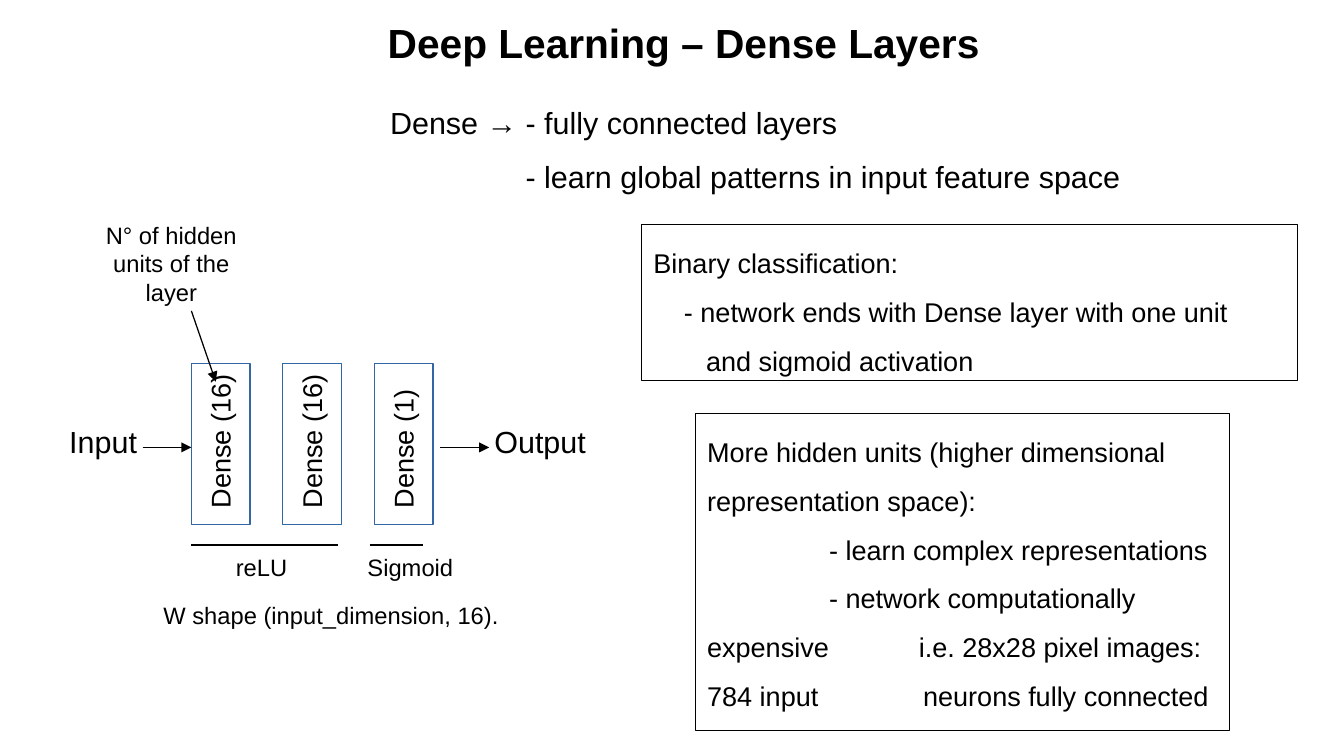
from lxml import etree
from pptx import Presentation
from pptx.dml.color import RGBColor
from pptx.enum.shapes import MSO_CONNECTOR, MSO_SHAPE
from pptx.enum.text import MSO_ANCHOR, PP_ALIGN
from pptx.oxml.ns import qn
from pptx.util import Pt

BLACK = RGBColor(0x00, 0x00, 0x00)
BLUE = RGBColor(0x34, 0x65, 0xA4)

prs = Presentation()
prs.slide_width, prs.slide_height = Pt(793.44), Pt(446.4)
slide = prs.slides.add_slide(prs.slide_layouts[6])


def add_text(left, top, width, height, lines, size, align=PP_ALIGN.LEFT,
             spacing=None, bold=None, outline=None):
    area = Pt(left), Pt(top), Pt(width), Pt(height)
    if outline is None:
        shape = slide.shapes.add_textbox(*area)
    else:
        shape = slide.shapes.add_shape(MSO_SHAPE.RECTANGLE, *area)
        shape.shadow.inherit = False
        shape.fill.background()
        shape.line.color.rgb = outline
        shape.line.width = Pt(0.75)
    frame = shape.text_frame
    frame.word_wrap = True
    frame.vertical_anchor = MSO_ANCHOR.TOP
    for i, (line, margin, indent, tab) in enumerate(lines):
        paragraph = frame.paragraphs[0] if i == 0 else frame.add_paragraph()
        paragraph.text = line
        paragraph.alignment = align
        paragraph.line_spacing = spacing
        properties = paragraph._p.get_or_add_pPr()
        if margin:
            properties.set("marL", str(Pt(margin)))
        if indent:
            properties.set("indent", str(Pt(indent)))
        if tab:
            stops = etree.SubElement(properties, qn("a:tabLst"))
            etree.SubElement(stops, qn("a:tab"), pos=str(Pt(tab)), algn="l")
        paragraph.font.name = "Arial"
        paragraph.font.size = Pt(size)
        paragraph.font.bold = bold
        paragraph.font.color.rgb = BLACK
    return shape


def add_line(x1, y1, x2, y2, arrow):
    line = slide.shapes.add_connector(MSO_CONNECTOR.STRAIGHT, Pt(x1), Pt(y1), Pt(x2), Pt(y2))
    line.line.color.rgb = BLACK
    line.line.width = Pt(0.75)
    if arrow:
        etree.SubElement(line.line._get_or_add_ln(), qn("a:tailEnd"), type="triangle")
    etree.SubElement(line._element.spPr, qn("a:effectLst"))


add_text(221.8, 7.2, 413.3, 33.8, [("Deep Learning – Dense Layers", 0, 0, 0)], 24, bold=True)
add_text(223.2, 46.8, 450, 49, [
    ("Dense → - fully connected layers", 0, 0, 0),
    ("- learn global patterns in input feature space", 80, 0, 0),
], 18, spacing=1.5)

for i, (layer, label_width) in enumerate([("Dense (16)", 105), ("Dense (16)", 112), ("Dense (1)", 92)]):
    left = 113 + 54 * i
    add_text(left, 214.6, 34.6, 95, [], 16, outline=BLUE)
    center_x, center_y = left + 16.2, 307.2 - label_width / 2
    label = add_text(center_x - label_width / 2, center_y - 12.6, label_width, 25.2,
                     [(layer, 0, 0, 0)], 16)
    label.rotation = 270

for caption, left, top, width, height, size, align in [
    ("Input", 33.8, 246.2, 63.4, 27.4, 18, PP_ALIGN.LEFT),
    ("Output", 260.6, 246.2, 116.6, 27.4, 18, PP_ALIGN.CENTER),
    ("N° of hidden units of the layer", 54, 126.7, 94.3, 56.2, 14, PP_ALIGN.CENTER),
    ("reLU", 131, 322.6, 46.8, 23, 14, PP_ALIGN.CENTER),
    ("Sigmoid", 204.5, 322.6, 75.6, 23, 14, PP_ALIGN.CENTER),
    ("W shape (input_dimension, 16).", 89.3, 351.4, 238.3, 39.6, 14, PP_ALIGN.LEFT),
]:
    add_text(left, top, width, height, [(caption, 0, 0, 0)], size, align)

for x1, y1, x2, y2, arrow in [
    (113, 183.6, 127.4, 225.4, True),
    (84.2, 264.2, 113, 264.2, True),
    (260, 264.2, 288.8, 264.2, True),
    (113, 321.8, 199.4, 321.8, False),
    (218.2, 321.8, 249.8, 321.8, False),
]:
    add_line(x1, y1, x2, y2, arrow)

add_text(378.7, 132.5, 387.4, 92.2, [
    ("Binary classification:", 0, 0, 0),
    ("- network ends with Dense layer with one unit\vand sigmoid activation", 31, -13, 0),
], 16, spacing=1.5, outline=BLACK)
add_text(410.4, 244.1, 315.4, 187.2, [
    ("More hidden units (higher dimensional representation space):", 0, 0, 0),
    ("- learn complex representations", 72, 0, 0),
    ("- network computationally", 72, 0, 0),
    ("expensive\ti.e. 28x28 pixel images:", 0, 0, 125),
    ("784 input\tneurons fully connected", 0, 0, 127.5),
], 16, spacing=1.5, outline=BLACK)

prs.save("out.pptx")
